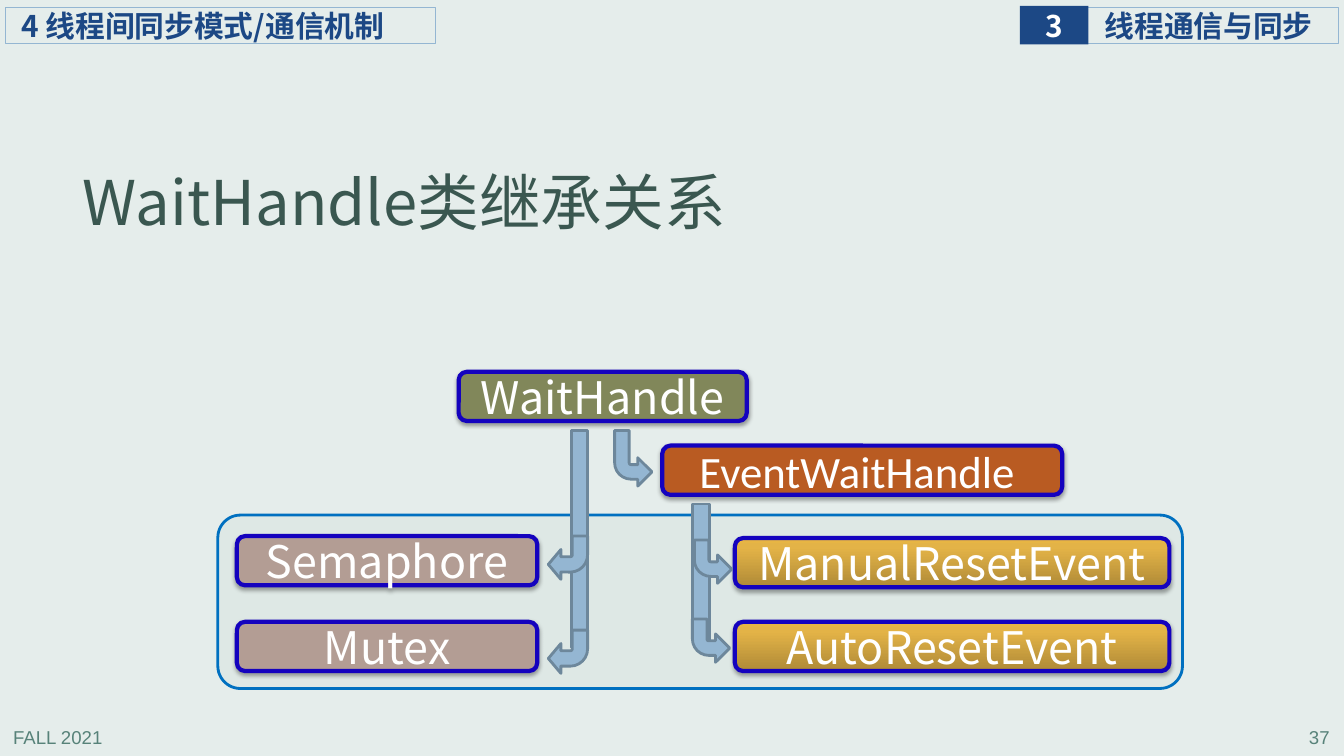
from copy import deepcopy

from lxml.etree import SubElement
from pptx import Presentation
from pptx.dml.color import RGBColor
from pptx.enum.shapes import MSO_SHAPE
from pptx.enum.text import MSO_ANCHOR, MSO_AUTO_SIZE, PP_ALIGN
from pptx.oxml.ns import qn
from pptx.util import Cm, Pt

COLORS = {
    "background": "E5EDEB", "title": "3A5750", "footer": "578279",
    "navy": "1C4885", "white": "FFFFFF", "frame": "B0CAC4",
    "frame_line": "0070C0", "arrow": "94B6D2", "arrow_line": "6D879B",
    "node_line": "1402BE", "olive": "81875A", "rust": "B95B22",
    "taupe": "B39D94", "gold_dark": "AF8A37", "gold": "E3B347",
    "gold_light": "E7B544", "shadow": "000000",
}
COLORS_RGB = {name: RGBColor.from_string(code) for name, code in COLORS.items()}
CJK = "Noto Sans CJK SC"


def add_block(kind, box, fill=None, line=None, width=1):
    """Add a preset shape without shadow; box is left, top, width, height in cm."""
    block = slide.shapes.add_shape(kind, *map(Cm, box))
    block.shadow.inherit = False
    if fill:
        block.fill.solid()
        block.fill.fore_color.rgb = COLORS_RGB[fill]
    else:
        block.fill.background()
    if line:
        block.line.color.rgb = COLORS_RGB[line]
        block.line.width = Pt(width)
    else:
        block.line.fill.background()
    return block


def write(frame, text, size, color, font=CJK, align=PP_ALIGN.LEFT, bold=False):
    """Put one styled line into a text frame, for Latin and Chinese letters alike."""
    frame.text = text
    frame.vertical_anchor = MSO_ANCHOR.MIDDLE
    paragraph = frame.paragraphs[0]
    paragraph.alignment = align
    paragraph.font.size = Pt(size)
    paragraph.font.bold = bold
    paragraph.font.name = font
    paragraph.font.color.rgb = COLORS_RGB[color]
    # The Chinese typeface is set on the run
    run_props = paragraph.runs[0]._r.get_or_add_rPr()
    SubElement(run_props, qn("a:ea")).set("typeface", font)


prs = Presentation()
prs.slide_width, prs.slide_height = Cm(33.87), Cm(19.05)
slide = prs.slides.add_slide(prs.slide_layouts[5])
slide.background.fill.solid()
slide.background.fill.fore_color.rgb = COLORS_RGB["background"]

# Footer
for left, text, align in [(0.08, "FALL 2021", PP_ALIGN.LEFT),
                          (26.7, "37", PP_ALIGN.RIGHT)]:
    footer = slide.shapes.add_textbox(Cm(left), Cm(18.19), Cm(7.06), Cm(0.79))
    footer.text_frame.word_wrap = True
    write(footer.text_frame, text, 13.3, "footer", "Arial", align)

# Chapter and section labels
for text, box, inset, fill, line, color, align in [
    ("线程通信与同步", (27.38, 0.18, 6.35, 0.91), 0.46, None, "arrow", "navy", PP_ALIGN.LEFT),
    ("3", (25.7, 0.15, 1.73, 0.97), 0, "navy", None, "white", PP_ALIGN.CENTER),
    ("4 线程间同步模式/通信机制", (0.13, 0.18, 10.85, 0.91), 0.41, None, "arrow", "navy",
     PP_ALIGN.LEFT),
]:
    label = add_block(MSO_SHAPE.RECTANGLE, box, fill, line, 0.75)
    frame = label.text_frame
    frame.margin_left = Cm(inset)
    frame.margin_top = frame.margin_right = frame.margin_bottom = 0
    write(frame, text, 21.3, color, align=align, bold=True)

# Frame around the leaf classes
leaf_frame = add_block(MSO_SHAPE.ROUNDED_RECTANGLE, (5.49, 12.98, 24.31, 4.37),
                       "frame", "frame_line", 2)
leaf_frame.adjustments[0] = 0.13
frame_color = leaf_frame._element.spPr.find(qn("a:solidFill"))[0]
SubElement(frame_color, qn("a:alpha")).set("val", "13000")

# Title
title = slide.shapes.title
title.left, title.top, title.width, title.height = Cm(1.83), Cm(4.29), Cm(19.46), Cm(1.78)
title.text_frame.auto_size = MSO_AUTO_SIZE.NONE
write(title.text_frame, "WaitHandle类继承关系 ", 44, "title")
title.text_frame.paragraphs[0].line_spacing = 0.9

# Classes
for name, left, top, width, fill, font in [
    ("WaitHandle", 11.56, 9.37, 7.26, "olive", CJK),
    ("EventWaitHandle ", 16.69, 11.23, 10.08, "rust", "Calibri"),
    ("ManualResetEvent", 18.52, 13.56, 10.95, "gold", CJK),
    ("Semaphore", 5.97, 13.51, 7.57, "taupe", CJK),
    ("Mutex", 5.97, 15.67, 7.57, "taupe", CJK),
    ("AutoResetEvent", 18.52, 15.67, 10.95, "gold", CJK),
]:
    node = add_block(MSO_SHAPE.ROUNDED_RECTANGLE, (left, top, width, 1.24),
                     fill, "node_line", 3)
    write(node.text_frame, name, 32, "white", font, PP_ALIGN.CENTER)
    if fill == "gold":
        node.fill.gradient()
        node.fill.gradient_angle = 90
        stop_list = node._element.spPr.find(".//" + qn("a:gsLst"))
        stop_list.append(deepcopy(stop_list[-1]))
        shades = [(0, "gold_dark"), (0.8, "gold"), (1, "gold_light")]
        for stop, (position, shade) in zip(node.fill.gradient_stops, shades):
            stop.position = position
            stop.color.rgb = COLORS_RGB[shade]
    effects = node._element.spPr.find(qn("a:effectLst"))
    shadow = SubElement(effects, qn("a:outerShdw"), blurRad=str(Pt(3.1)),
                        dist=str(Pt(1.8)), dir="5400000", rotWithShape="0")
    shadow_color = SubElement(shadow, qn("a:srgbClr"), val=COLORS["shadow"])
    SubElement(shadow_color, qn("a:alpha"), val="35000")

# Inheritance trunks and bent arrows
for trunk in [(14.4, 10.85, 0.41, 5.46), (17.45, 12.7, 0.43, 3.43)]:
    add_block(MSO_SHAPE.RECTANGLE, trunk, "arrow", "arrow_line", 2)
for left, top, width, height, to_left in [
    (13.82, 15.88, 0.99, 1.09, True),
    (15.49, 10.85, 0.94, 1.4, False),
    (17.5, 13.61, 0.94, 1.09, False),
    (17.45, 15.6, 0.94, 1.09, False),
    (13.82, 13.51, 0.99, 1.09, True),
]:
    arrow = add_block(MSO_SHAPE.BENT_ARROW, (left, top, width, height),
                      "arrow", "arrow_line", 2)
    for i, value in enumerate([0.39, 0.38, 0.32 if to_left else 0.38, 0.44]):
        arrow.adjustments[i] = value
    transform = arrow._element.spPr.find(qn("a:xfrm"))
    transform.set("flipV", "1")
    if to_left:
        transform.set("flipH", "1")

prs.save("out.pptx")
